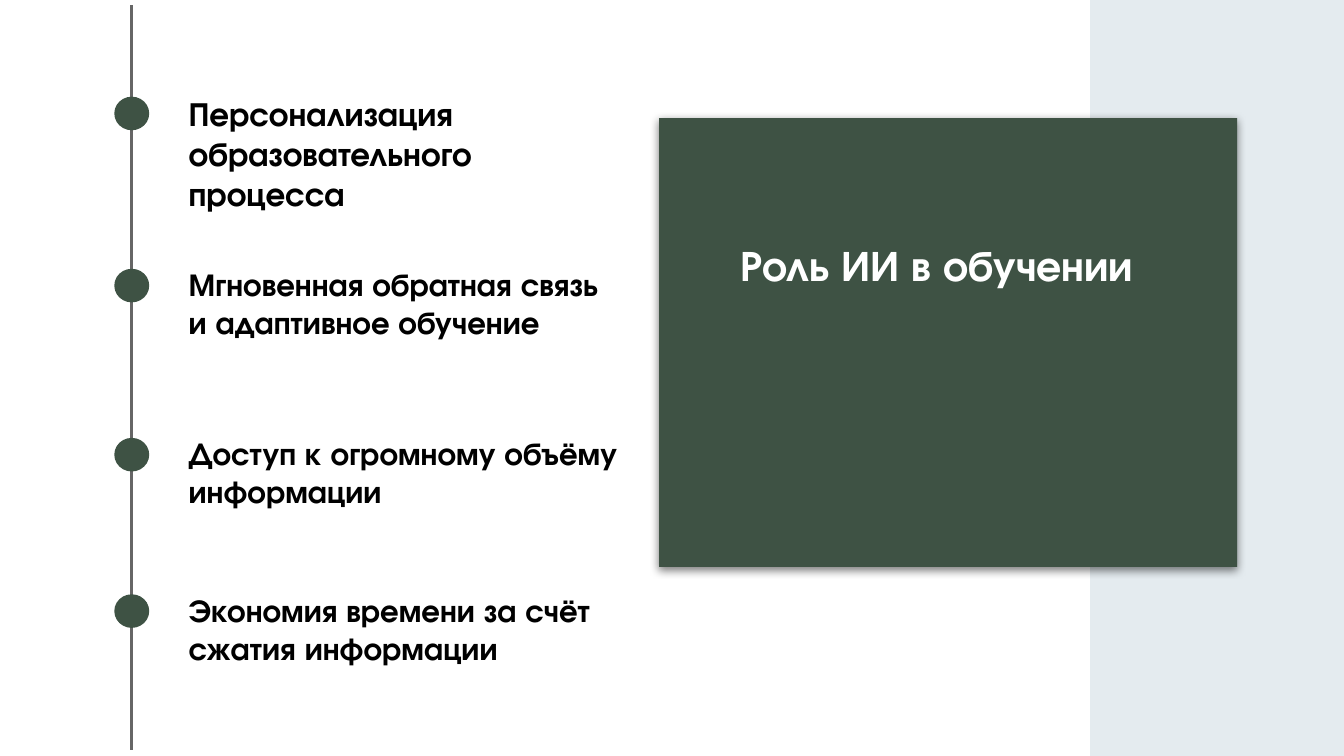
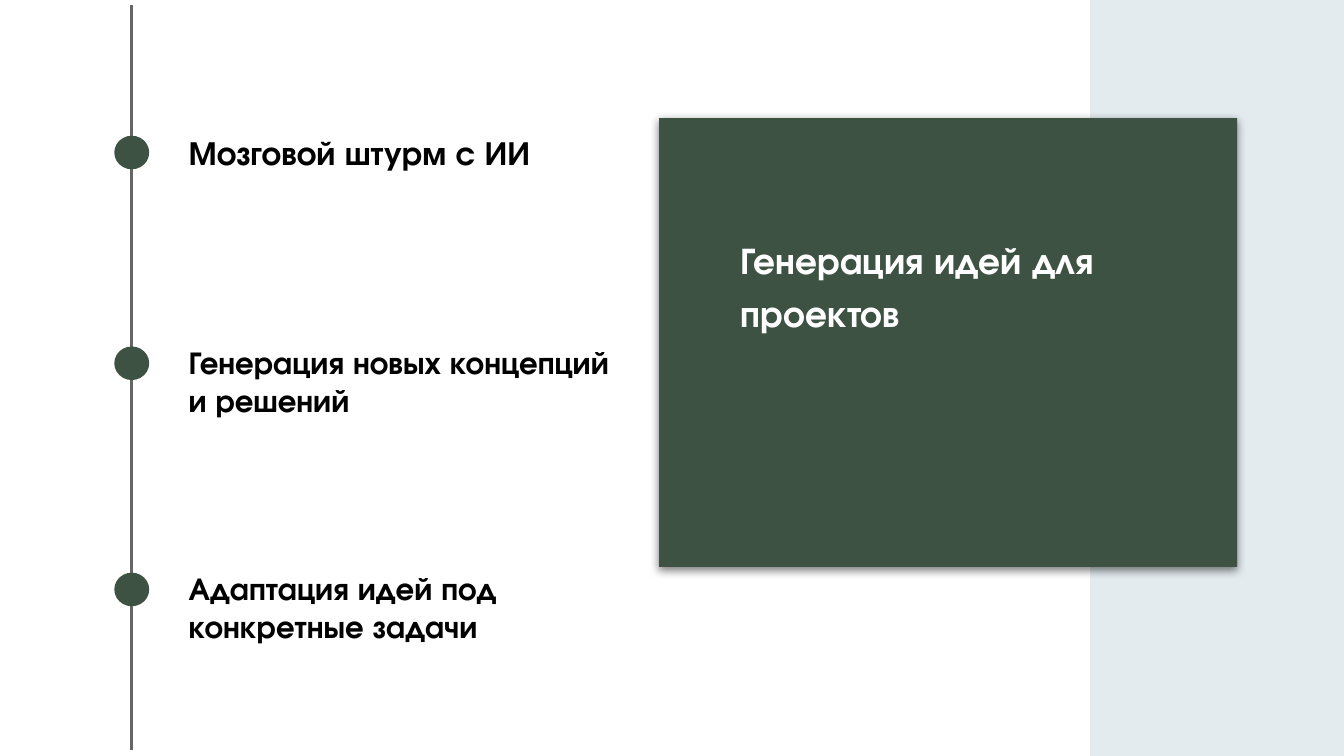
from lxml.etree import SubElement
from pptx import Presentation
from pptx.dml.color import RGBColor
from pptx.enum.shapes import MSO_CONNECTOR, MSO_SHAPE
from pptx.enum.text import MSO_ANCHOR
from pptx.oxml import parse_xml
from pptx.oxml.ns import nsdecls, qn
from pptx.util import Pt

GREEN = RGBColor(0x3E, 0x52, 0x44)
PALE = RGBColor(0xE4, 0xEB, 0xEF)
GREY = RGBColor(0x66, 0x66, 0x66)
BLACK = RGBColor(0, 0, 0)
WHITE = RGBColor(0xFF, 0xFF, 0xFF)
FONT = "TeX Gyre Adventor"

AXIS_X = 70.6
DOT_WIDTH, DOT_HEIGHT = 18.7, 18
POINT_RISE = 9.3  # text box top above its dot

CARD_SHADOW = f"""<a:effectLst {nsdecls('a')}>
  <a:outerShdw blurRad="{Pt(4.5)}" dist="{Pt(1.5)}" dir="5400000" algn="t" rotWithShape="0">
    <a:srgbClr val="000000"><a:alpha val="50000"/></a:srgbClr>
  </a:outerShdw>
</a:effectLst>"""

# title, title size, point width, points as (dot top, box height, size, text)
TIMELINES = [
    ("Роль ИИ в обучении", 23, 247, [
        (51.8, 36, 18, "Персонализация образовательного процесса"),
        (144, 55.4, 17, "Мгновенная обратная связь и адаптивное обучение"),
        (234.6, 35.3, 17, "Доступ к огромному объёму информации"),
        (318.4, 35.3, 17, "Экономия времени за счёт сжатия информации"),
    ]),
    ("Генерация идей для проектов", 20, 244, [
        (72.7, 36, 18, "Мозговой штурм с ИИ"),
        (185.6, 55.4, 17, "Генерация новых концепций и решений"),
        (306.8, 55.4, 17, "Адаптация идей под конкретные задачи"),
    ]),
]


def add_filled(slide, kind, left, top, width, height, color):
    shape = slide.shapes.add_shape(kind, Pt(left), Pt(top), Pt(width), Pt(height))
    shape.shadow.inherit = False
    shape.fill.solid()
    shape.fill.fore_color.rgb = color
    shape.line.fill.background()
    return shape


def add_text(slide, left, top, width, height, text, size, color, spacing=None):
    frame = slide.shapes.add_textbox(Pt(left), Pt(top), Pt(width), Pt(height)).text_frame
    frame.word_wrap = True
    frame.vertical_anchor = MSO_ANCHOR.TOP
    frame.margin_left = frame.margin_right = Pt(7.2)
    frame.margin_top = frame.margin_bottom = Pt(7.2)
    paragraph = frame.paragraphs[0]
    paragraph.line_spacing = spacing
    run = paragraph.add_run()
    run.text = text
    run.font.name = FONT
    run.font.size = Pt(size)
    run.font.bold = True
    run.font.color.rgb = color


prs = Presentation()
prs.slide_width, prs.slide_height = Pt(720), Pt(405)

for title, title_size, point_width, points in TIMELINES:
    slide = prs.slides.add_slide(prs.slide_layouts[6])

    # Side band and title card
    add_filled(slide, MSO_SHAPE.RECTANGLE, 584, 0, 136, 405, PALE)
    card = add_filled(slide, MSO_SHAPE.RECTANGLE, 353.2, 63.3, 309.6, 240.5, GREEN)
    properties = card._element.spPr
    properties.replace(properties.find(qn("a:effectLst")), parse_xml(CARD_SHADOW))
    add_text(slide, 389.8, 116, 236, 124, title, title_size, WHITE, 1.17)

    # Timeline axis
    axis = slide.shapes.add_connector(
        MSO_CONNECTOR.STRAIGHT, Pt(AXIS_X), Pt(2.9), Pt(AXIS_X), Pt(401.8))
    axis.line.color.rgb = GREY
    axis.line.width = Pt(1.5)
    SubElement(axis._element.spPr, qn("a:effectLst"))

    # Dots with their points
    for dot_top, height, size, text in points:
        add_filled(slide, MSO_SHAPE.OVAL, AXIS_X - DOT_WIDTH / 2, dot_top,
                   DOT_WIDTH, DOT_HEIGHT, GREEN)
        add_text(slide, 94, dot_top - POINT_RISE, point_width, height, text, size, BLACK)

prs.save("out.pptx")
